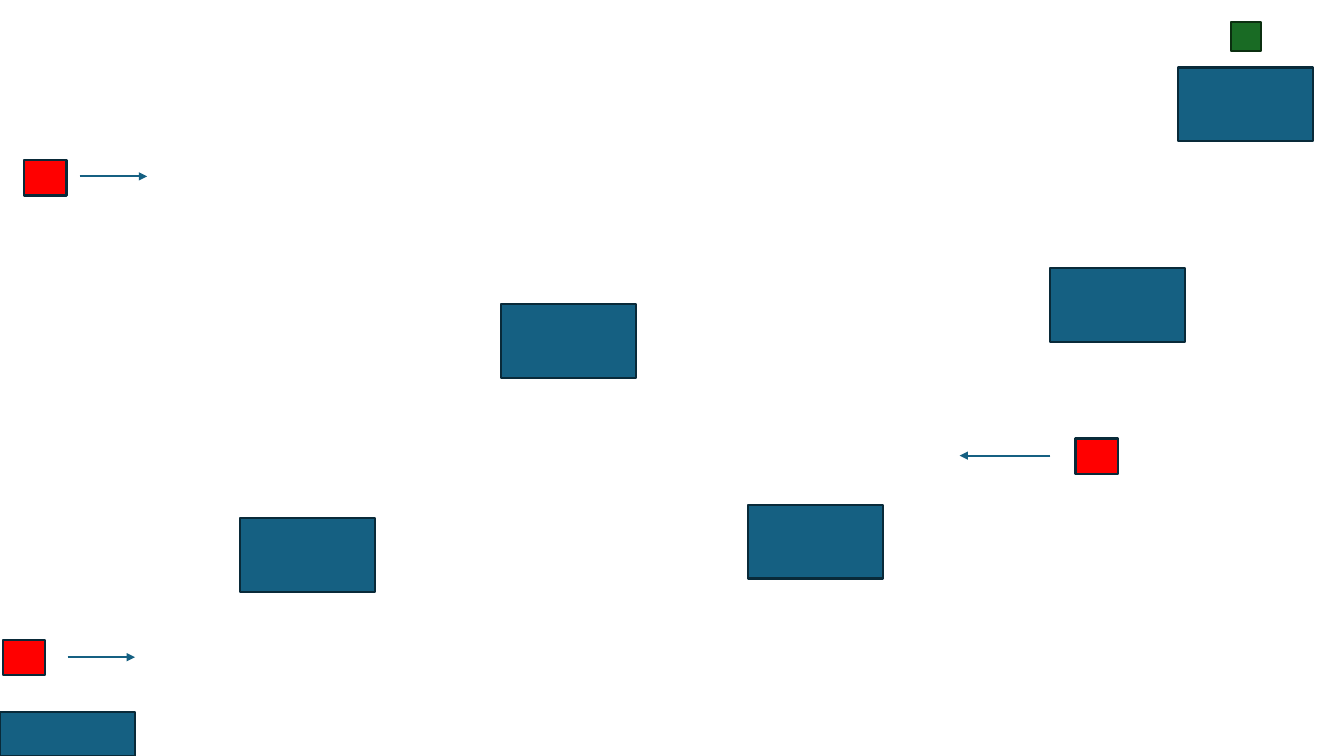
from pptx import Presentation
from pptx.dml.color import RGBColor
from pptx.enum.shapes import MSO_CONNECTOR, MSO_SHAPE
from pptx.oxml.ns import qn
from pptx.util import Inches, Pt
from lxml.etree import SubElement

BLUE = RGBColor(0x15, 0x60, 0x82)
NAVY = RGBColor(0x09, 0x2A, 0x39)
RED = RGBColor(0xFF, 0x00, 0x00)
GREEN = RGBColor(0x19, 0x6B, 0x24)
DARK_GREEN = RGBColor(0x0B, 0x2F, 0x10)

COLUMNS, ROWS = 160, 90
PLATFORM_SIZE = (16.08, 8.76)
GROUND_SIZE = (16.08, 5.28)
ENEMY_SIZE = (5.04, 4.2)
GOAL_SIZE = (3.6, 3.48)

GROUND = (0, 84.72)
PLATFORMS = [(28.56, 61.68), (59.64, 36.24), (89.04, 60.12), (125.04, 31.92), (140.28, 8.04)]
ENEMIES = [(0.36, 76.2), (128.04, 52.2), (2.88, 19.08)]
PATROLS = [(8.04, 16.08, 78.24), (9.48, 17.52, 21), (125.04, 114.24, 54.24)]
GOAL = (146.52, 2.64)


class LevelMap:
    line_format = {"width": Pt(1.5)}

    def __init__(self, deck):
        self.column = deck.slide_width / COLUMNS
        self.row = deck.slide_height / ROWS
        self.slide = deck.slides.add_slide(deck.slide_layouts[6])

    def place(self, across, down):
        return round(across * self.column), round(down * self.row)

    def style_line(self, line, colour):
        line.color.rgb = colour
        for attribute, value in self.line_format.items():
            setattr(line, attribute, value)

    def block(self, corner, size, fill=BLUE, outline=NAVY):
        block = self.slide.shapes.add_shape(
            MSO_SHAPE.RECTANGLE, *self.place(*corner), *self.place(*size))
        block.shadow.inherit = False
        block.fill.solid()
        block.fill.fore_color.rgb = fill
        self.style_line(block.line, outline)

    def arrow(self, start, end, height):
        arrow = self.slide.shapes.add_connector(
            MSO_CONNECTOR.STRAIGHT, *self.place(start, height), *self.place(end, height))
        self.style_line(arrow.line, BLUE)
        properties = arrow._element.spPr
        SubElement(properties.find(qn("a:ln")), qn("a:tailEnd"), type="triangle")
        SubElement(properties, qn("a:effectLst"))


def main():
    deck = Presentation()
    deck.slide_width, deck.slide_height = Inches(13.33), Inches(7.5)
    level = LevelMap(deck)
    level.block(GROUND, GROUND_SIZE)
    for platform in PLATFORMS:
        level.block(platform, PLATFORM_SIZE)
    for enemy in ENEMIES:
        level.block(enemy, ENEMY_SIZE, RED)
    for patrol in PATROLS:
        level.arrow(*patrol)
    level.block(GOAL, GOAL_SIZE, GREEN, DARK_GREEN)
    deck.save("out.pptx")


if __name__ == "__main__":
    main()
